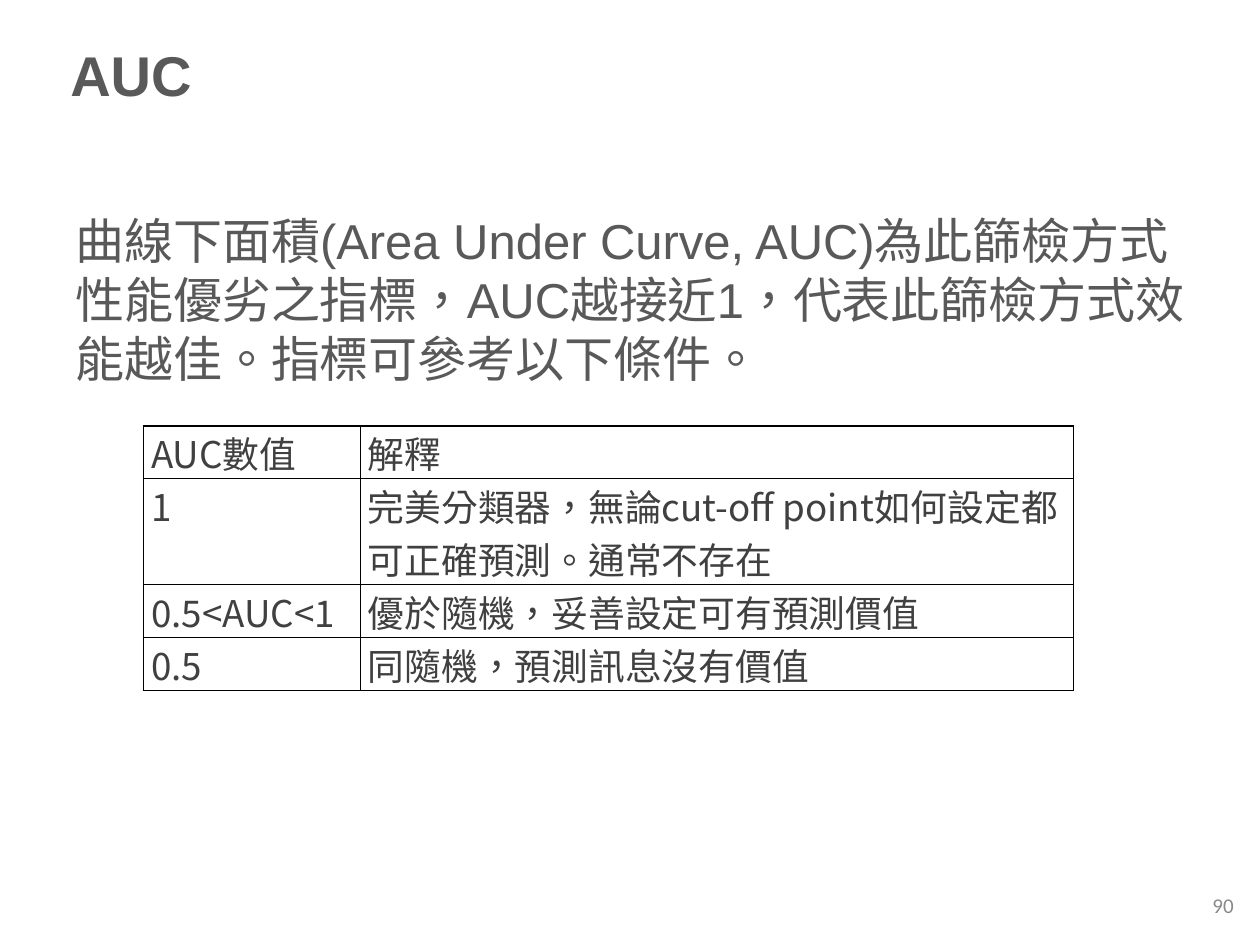
from lxml import etree
from pptx import Presentation
from pptx import util as u
from pptx.dml.color import RGBColor
from pptx.enum import text
from pptx.oxml import parse_xml
from pptx.oxml.ns import nsdecls, qn


def style(frame, size, font, color, bold=False):
    for run in frame.paragraphs[0].runs:
        run.font.size = u.Pt(size)
        run.font.name = font
        run.font.bold = bold
        run.font.color.rgb = RGBColor.from_string(color)
        run.font._element.set("lang", "zh-TW")
        east_asian = etree.SubElement(run.font._element, qn("a:ea"))
        east_asian.set("typeface", font)


def add_text(left, top, width, height, words, anchor):
    frame = slide.shapes.add_textbox(
        u.Inches(left), u.Inches(top), u.Inches(width), u.Inches(height)
    ).text_frame
    frame.word_wrap = True
    frame.vertical_anchor = anchor
    frame.text = words
    return frame


prs = Presentation()
prs.slide_width = u.Inches(10)
prs.slide_height = u.Inches(7.5)
slide = prs.slides.add_slide(prs.slide_layouts[6])

title = add_text(0.46, 0.28, 9, 0.61, "AUC", text.MSO_ANCHOR.MIDDLE)
style(title, 32, "Arial", "595959", bold=True)

definition = add_text(
    0.5, 1.62, 9, 5.08,
    "曲線下面積(Area Under Curve, AUC)為此篩檢方式性能優劣之指標，"
    "AUC越接近1，代表此篩檢方式效能越佳。指標可參考以下條件。",
    text.MSO_ANCHOR.TOP,
)
style(definition, 28, "Arial", "595959")

interpretations = [
    ("AUC數值", "解釋", 1),
    ("1", "完美分類器，無論cut-off point如何設定都可正確預測。通常不存在", 2),
    ("0.5<AUC<1", "優於隨機，妥善設定可有預測價值", 1),
    ("0.5", "同隨機，預測訊息沒有價值", 1),
]
line_height = u.Inches(0.42)
criteria = slide.shapes.add_table(
    len(interpretations), 2,
    u.Inches(1.14), u.Inches(3.38), u.Inches(7.38), 5 * line_height,
).table
criteria.first_row = False
criteria.horz_banding = False
for column, width in zip(criteria.columns, (1.72, 5.66)):
    column.width = u.Inches(width)
for row, (value, meaning, lines) in zip(criteria.rows, interpretations):
    row.height = lines * line_height
    for cell, entry in zip(row.cells, (value, meaning)):
        cell.text = entry
        style(cell.text_frame, 21, "Noto Sans CJK SC", "404040")
        cell.margin_left = cell.margin_right = u.Inches(0.06)
        cell.margin_top = cell.margin_bottom = 0
        properties = cell._tc.get_or_add_tcPr()
        for side in ("lnL", "lnR", "lnT", "lnB"):
            properties.append(parse_xml(
                f'<a:{side} {nsdecls("a")} w="{u.Pt(1)}"><a:solidFill>'
                f'<a:srgbClr val="000000"/></a:solidFill></a:{side}>'
            ))
        cell.fill.background()

page_number = add_text(7.56, 6.98, 2.33, 0.4, "90", text.MSO_ANCHOR.MIDDLE)
page_number.paragraphs[0].alignment = text.PP_ALIGN.RIGHT
style(page_number, 12, "Calibri", "898989")

prs.save("out.pptx")
